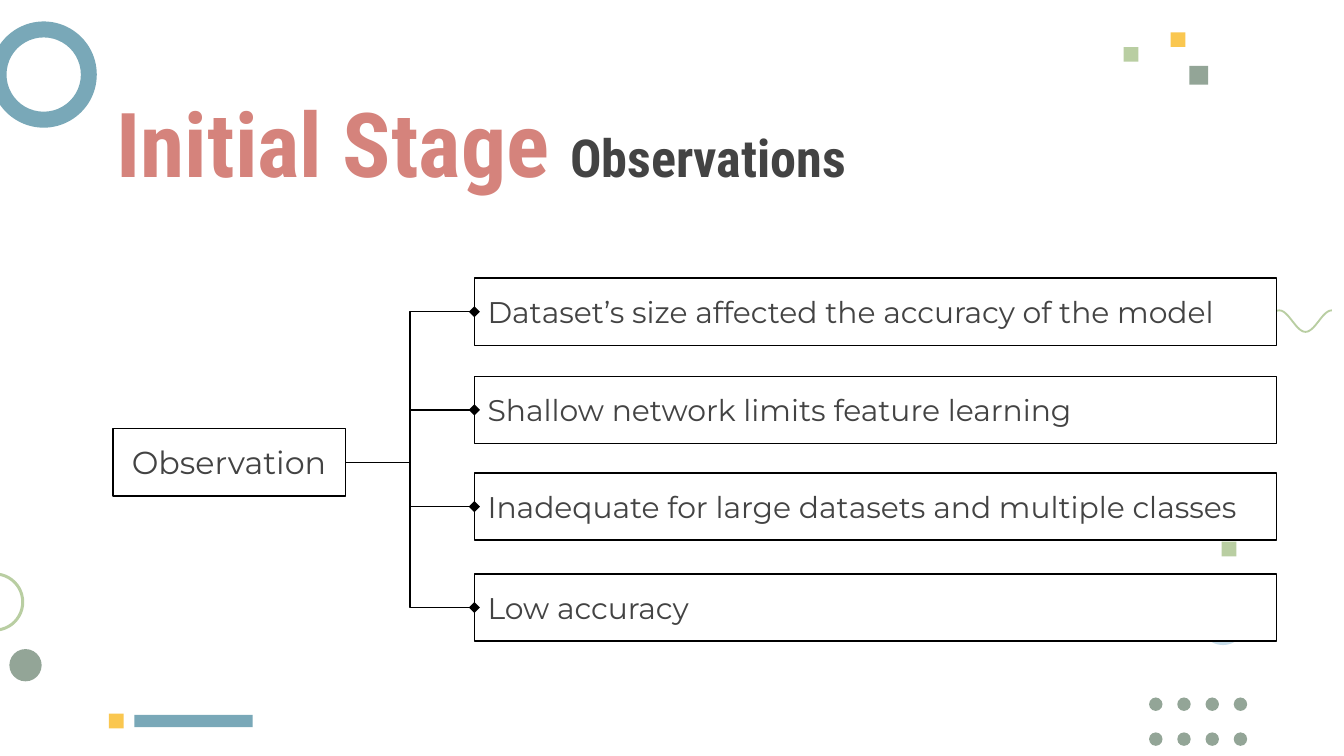
from math import cos, pi

from lxml import etree
from pptx import Presentation
from pptx.dml.color import RGBColor
from pptx.enum.shapes import MSO_CONNECTOR, MSO_SHAPE
from pptx.enum.text import MSO_ANCHOR, PP_ALIGN
from pptx.oxml.ns import qn
from pptx.util import Inches, Pt

RECT, OVAL, RING = MSO_SHAPE.RECTANGLE, MSO_SHAPE.OVAL, MSO_SHAPE.DONUT
ELBOW = MSO_CONNECTOR.ELBOW
MIDDLE = MSO_ANCHOR.MIDDLE
LEFT, CENTER = PP_ALIGN.LEFT, PP_ALIGN.CENTER
LEFT_SIDE, RIGHT_SIDE = 1, 3

WHITE = RGBColor(0xFF, 0xFF, 0xFF)
BLACK = RGBColor(0x00, 0x00, 0x00)
GRAPHITE = RGBColor(0x43, 0x43, 0x43)
CORAL = RGBColor(0xD5, 0x83, 0x7C)
SAGE = RGBColor(0x93, 0xA5, 0x97)
LIME = RGBColor(0xB9, 0xCE, 0xA2)
TEAL = RGBColor(0x79, 0xA8, 0xB8)
SKY = RGBColor(0xC7, 0xDD, 0xEA)
AMBER = RGBColor(0xFA, 0xC7, 0x50)

HEADING_FONT, BODY_FONT = "Roboto Condensed", "Montserrat"

ORNAMENTS = [
    (RING, -0.07, 0.16, 0.79, 0.79, TEAL, 0.15),
    (RING, -0.26, 4.26, 0.44, 0.44, LIME, 0.05),
    (OVAL, 8.93, 4.46, 0.34, 0.34, SKY, None),
    (RECT, 1, 5.32, 0.88, 0.09, TEAL, None),
    (RECT, 0.81, 5.31, 0.11, 0.11, AMBER, None),
    (RECT, 8.85, 0.49, 0.14, 0.14, SAGE, None),
    (RECT, 8.36, 0.35, 0.11, 0.11, LIME, None),
    (RECT, 8.71, 0.24, 0.11, 0.11, AMBER, None),
    (RECT, 9.09, 4.03, 0.11, 0.11, LIME, None),
    (OVAL, 0.07, 4.83, 0.24, 0.24, SAGE, None),
]

FINDINGS = [
    (2.07, "Dataset’s size affected the accuracy of the model"),
    (2.8, "Shallow network limits feature learning"),
    (3.52, "Inadequate for large datasets and multiple classes"),
    (4.27, "Low accuracy"),
]


def add_ornament(slide, preset, left, top, width, height, color, thickness=None):
    """Add a borderless decorative shape."""
    ornament = slide.shapes.add_shape(
        preset, Inches(left), Inches(top), Inches(width), Inches(height))
    ornament.shadow.inherit = False
    ornament.fill.solid()
    ornament.fill.fore_color.rgb = color
    ornament.line.fill.background()
    if thickness is not None:
        ornament.adjustments[0] = thickness


def add_dot_grid(slide):
    """Add the grid of small dots in the lower right corner."""
    for row in range(2):
        for column in range(4):
            add_ornament(slide, OVAL, 8.55 + 0.21 * column, 5.19 + 0.26 * row,
                         0.1, 0.1, SAGE)


def add_wave(slide):
    """Add the thin wave of two and a half periods at the right edge."""
    steps = 100
    crest = [(Inches(8.93 + 0.98 * step / steps),
              Inches(2.39 + 0.08 * cos(5 * pi * step / steps)))
             for step in range(steps + 1)]
    builder = slide.shapes.build_freeform(*crest[0])
    builder.add_line_segments(crest[1:], close=False)
    wave = builder.convert_to_shape()
    wave.shadow.inherit = False
    wave.fill.background()
    wave.line.color.rgb = LIME
    wave.line.width = Pt(1)


def add_run(paragraph, text, *, size, font, color=GRAPHITE, bold=False):
    """Append formatted text to a paragraph."""
    run = paragraph.add_run()
    run.text = text
    run.font.size = Pt(size)
    run.font.name = font
    run.font.color.rgb = color
    run.font.bold = bold


def set_frame(frame):
    """Set the margins, wrapping and anchor of a text frame."""
    frame.word_wrap = True
    frame.vertical_anchor = MIDDLE
    frame.margin_left = frame.margin_right = Inches(0.1)
    frame.margin_top = frame.margin_bottom = Inches(0.1)


def add_title(slide):
    """Add the two-part title."""
    title = slide.shapes.add_textbox(
        Inches(0.77), Inches(0.85), Inches(8.74), Inches(0.41))
    set_frame(title.text_frame)
    paragraph = title.text_frame.paragraphs[0]
    add_run(paragraph, "Initial Stage ", size=48, font=HEADING_FONT,
            color=CORAL, bold=True)
    add_run(paragraph, "Observations", size=28, font=HEADING_FONT, bold=True)


def add_box(slide, left, top, width, text, *, size=16, align=LEFT, fill=WHITE):
    """Add an outlined box of the diagram and return it."""
    box = slide.shapes.add_shape(
        RECT, Inches(left), Inches(top), Inches(width), Inches(0.5))
    box.shadow.inherit = False
    if fill is None:
        box.fill.background()
    else:
        box.fill.solid()
        box.fill.fore_color.rgb = fill
    box.line.color.rgb = BLACK
    box.line.width = Pt(0.75)
    set_frame(box.text_frame)
    paragraph = box.text_frame.paragraphs[0]
    paragraph.alignment = align
    add_run(paragraph, text, size=size, font=BODY_FONT)
    return box


def add_branch(slide, root, finding):
    """Join the root to a finding with a diamond-ended elbow."""
    branch = slide.shapes.add_connector(ELBOW, 0, 0, 0, 0)
    branch.begin_connect(root, RIGHT_SIDE)
    branch.end_connect(finding, LEFT_SIDE)
    branch.line.color.rgb = BLACK
    branch.line.width = Pt(0.75)
    properties = branch._element.spPr
    etree.SubElement(properties.find(qn("a:ln")), qn("a:tailEnd"), type="diamond")
    etree.SubElement(properties, qn("a:effectLst"))


def main():
    """Build and save the slide."""
    deck = Presentation()
    deck.slide_width = Inches(10)
    deck.slide_height = Inches(10 * 9 / 16)
    slide = deck.slides.add_slide(deck.slide_layouts[6])

    add_dot_grid(slide)
    add_wave(slide)
    for ornament in ORNAMENTS:
        add_ornament(slide, *ornament)
    add_title(slide)

    root = add_box(slide, 0.84, 3.19, 1.73, "Observation",
                   size=17, align=CENTER, fill=None)
    for top, text in FINDINGS:
        finding = add_box(slide, 3.53, top, 5.97, text)
        add_branch(slide, root, finding)

    deck.save("out.pptx")


if __name__ == "__main__":
    main()
